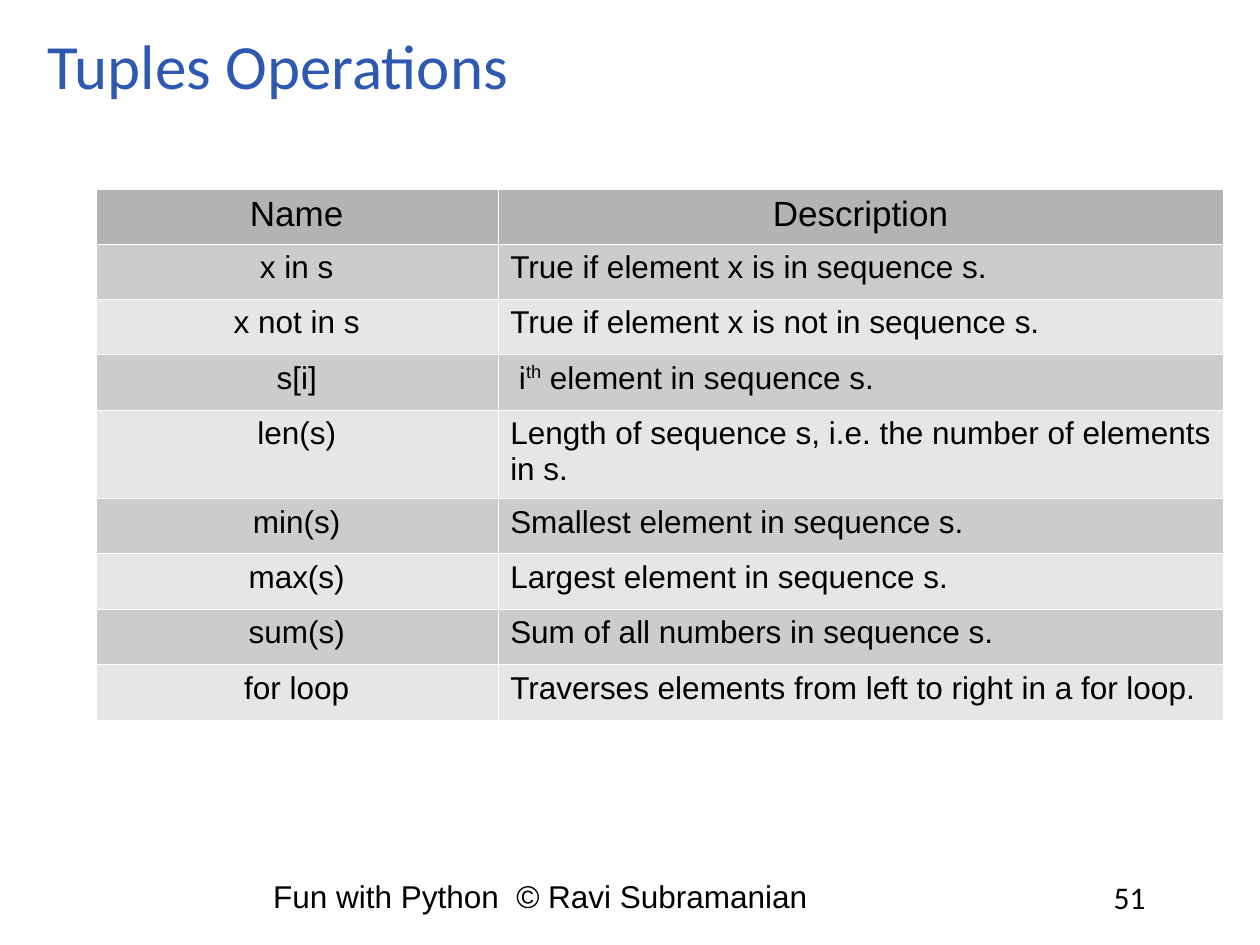
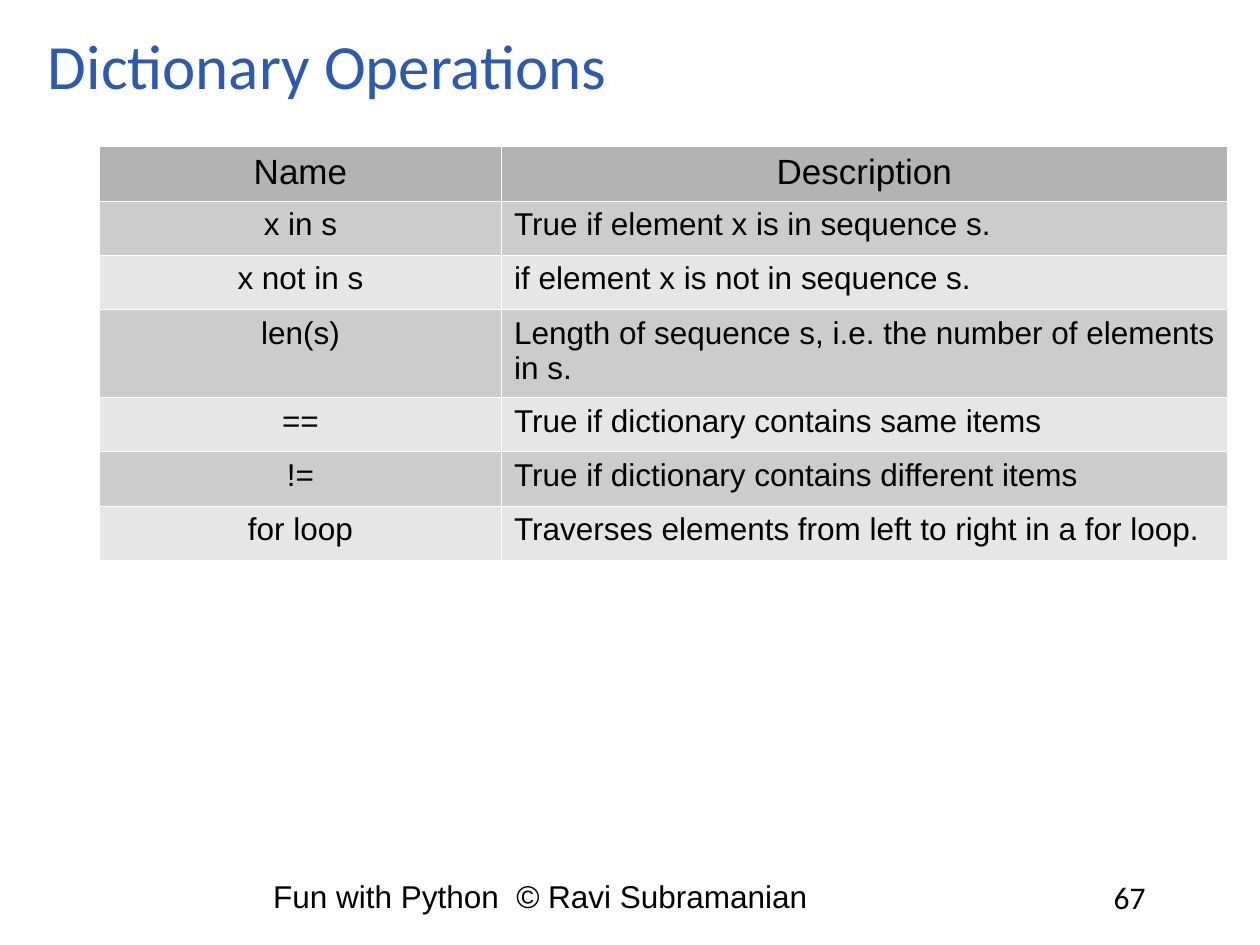
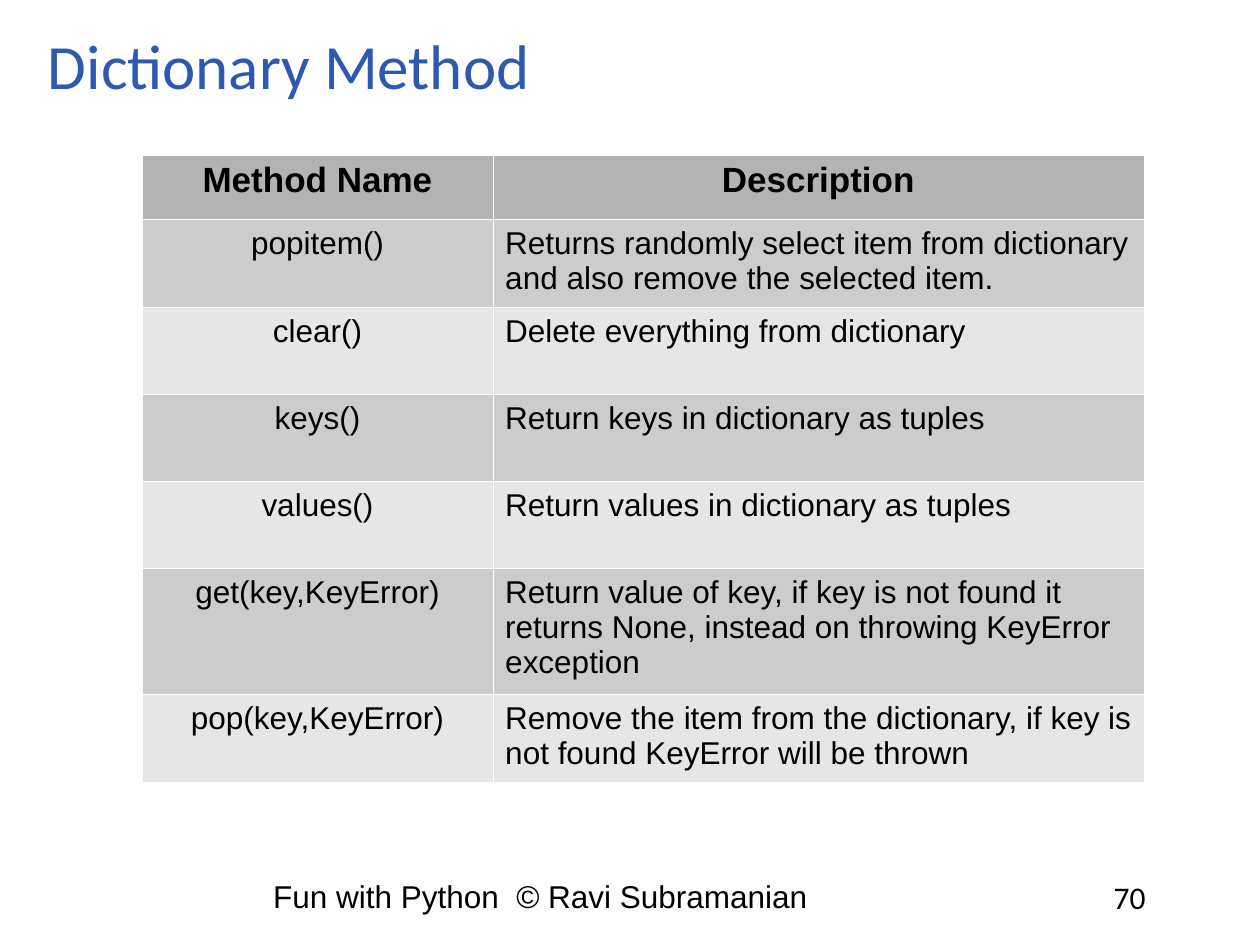
from lxml import etree
from pptx import Presentation
from pptx.dml.color import RGBColor
from pptx.enum.text import MSO_ANCHOR, PP_ALIGN
from pptx.oxml.ns import qn
from pptx.util import Inches, Pt

TOP = MSO_ANCHOR.TOP
LEFT, CENTER = PP_ALIGN.LEFT, PP_ALIGN.CENTER

BLUE = RGBColor(0x2E, 0x59, 0xB0)
BLACK = RGBColor(0, 0, 0)
HEADER_GRAY = RGBColor(0xB3, 0xB3, 0xB3)
BAND_GRAYS = [RGBColor(0xCC, 0xCC, 0xCC), RGBColor(0xE6, 0xE6, 0xE6)]
BORDER_COLOR, BORDER_WIDTH = "FFFFFF", Pt(0.06)

TITLE_FONT = {"name": "Calibri", "size": Pt(36), "bold": False}
NUMBER_FONT = {"name": "Calibri", "size": Pt(18)}
BODY_FONT = {"name": "Arial", "size": Pt(18), "bold": False}
HEADER_FONT = {"name": "Arial", "size": Pt(20), "bold": False}

FOOTER = "Fun with Python  © Ravi Subramanian"
LENGTH = "Length of sequence s, i.e. the number of elements in s."
TRAVERSE = "Traverses elements from left to right in a for loop."

# A description given as a list is split into runs; every second run is superscript.
# "tall" maps a row index to a height that differs from "row".
SLIDES = [
    {
        "title": "Tuples Operations", "number": "51",
        "at": (0.76, 1.5), "cols": (3.19, 5.76),
        "header": 0.41, "row": 0.44, "tall": {4: 0.66}, "bold_header": False,
        "rows": [
            ("Name", "Description"),
            ("x in s", "True if element x is in sequence s."),
            ("x not in s", "True if element x is not in sequence s."),
            ("s[i]", [" i", "th", " element in sequence s."]),
            ("len(s)", LENGTH),
            ("min(s)", "Smallest element in sequence s."),
            ("max(s)", "Largest element in sequence s."),
            ("sum(s)", "Sum of all numbers in sequence s."),
            ("for loop", TRAVERSE),
        ],
    },
    {
        "title": "Dictionary Operations", "number": "67",
        "at": (0.79, 1.16), "cols": (3.19, 5.76),
        "header": 0.41, "row": 0.43, "tall": {3: 0.66}, "bold_header": False,
        "rows": [
            ("Name", "Description"),
            ("x in s", "True if element x is in sequence s."),
            ("x not in s", "if element x is not in sequence s."),
            ("len(s)", LENGTH),
            ("==", "True if dictionary contains same items"),
            ("!=", "True if dictionary contains different items"),
            ("for loop", TRAVERSE),
        ],
    },
    {
        "title": "Dictionary Method", "number": "70",
        "at": (1.13, 1.23), "cols": (2.78, 5.17),
        "header": 0.51, "row": 0.69, "tall": {5: 0.94, 6: 0.7}, "bold_header": True,
        "rows": [
            ("Method Name", "Description"),
            ("popitem()", "Returns randomly select item from dictionary "
                          "and also remove the selected item."),
            ("clear()", "Delete everything from dictionary"),
            ("keys()", "Return keys in dictionary as tuples"),
            ("values()", "Return values in dictionary as tuples"),
            ("get(key,KeyError)", "Return value of key, if key is not found it returns "
                                  "None, instead on throwing KeyError exception"),
            ("pop(key,KeyError)", "Remove the item from the dictionary, if key is "
                                  "not found KeyError will be thrown"),
        ],
    },
]


def write(tf, text, font, color=BLACK, align=LEFT):
    """Write one paragraph of one or more runs and return it."""
    p = tf.paragraphs[0]
    p.alignment = align
    for i, part in enumerate([text] if isinstance(text, str) else text):
        r = p.add_run()
        r.text = part
        for key, value in font.items():
            setattr(r.font, key, value)
        r.font.color.rgb = color
        if i % 2:
            r._r.get_or_add_rPr().set("baseline", "33000")
    return p


def add_title(s, text):
    """Place and format the title placeholder."""
    sp = s.shapes.title
    sp.left, sp.top, sp.width, sp.height = map(Inches, (0.38, 0, 9.16, 1.45))
    tf = sp.text_frame
    margins = {"margin_left": 0, "margin_right": 0, "margin_bottom": 0,
               "margin_top": Inches(0.28)}
    for key, value in margins.items():
        setattr(tf, key, value)
    tf.word_wrap = True
    tf.vertical_anchor = TOP
    write(tf, text, TITLE_FONT, BLUE).line_spacing = 0.9


def add_label(s, text, box, font):
    """Add a wrapped text box."""
    tf = s.shapes.add_textbox(*map(Inches, box)).text_frame
    tf.word_wrap = True
    write(tf, text, font)


def add_borders(cell):
    """Draw a hairline on all four sides of a cell."""
    tc_pr = cell._tc.get_or_add_tcPr()
    for i, side in enumerate(("lnL", "lnR", "lnT", "lnB")):
        ln = etree.Element(qn("a:" + side), w=str(BORDER_WIDTH))
        fill = etree.SubElement(ln, qn("a:solidFill"))
        etree.SubElement(fill, qn("a:srgbClr"), val=BORDER_COLOR)
        tc_pr.insert(i, ln)


def add_reference_table(s, item):
    """Add the table of names and descriptions with banded rows."""
    rows, cols = item["rows"], item["cols"]
    heights = [item["header"]] + [item["tall"].get(i, item["row"])
                                  for i in range(1, len(rows))]
    box = (*item["at"], sum(cols), sum(heights))
    table = s.shapes.add_table(len(rows), len(cols), *map(Inches, box)).table
    for column, width in zip(table.columns, cols):
        column.width = Inches(width)
    for i, (row, height) in enumerate(zip(rows, heights)):
        table.rows[i].height = Inches(height)
        if i == 0:
            color, font = HEADER_GRAY, {**HEADER_FONT, "bold": item["bold_header"]}
        else:
            color, font = BAND_GRAYS[(i - 1) % 2], BODY_FONT
        for j, text in enumerate(row):
            cell = table.cell(i, j)
            cell.fill.solid()
            cell.fill.fore_color.rgb = color
            add_borders(cell)
            align = CENTER if i == 0 or j == 0 else LEFT
            write(cell.text_frame, text, font, align=align)


prs = Presentation()
prs.slide_width, prs.slide_height = Inches(10), Inches(7.5)
for item in SLIDES:
    s = prs.slides.add_slide(prs.slide_layouts[5])
    add_label(s, item["number"], (8.74, 6.92, 1.23, 0.39), NUMBER_FONT)
    add_label(s, FOOTER, (2.07, 6.91, 5.64, 0.4), BODY_FONT)
    add_title(s, item["title"])
    add_reference_table(s, item)
prs.save("out.pptx")
